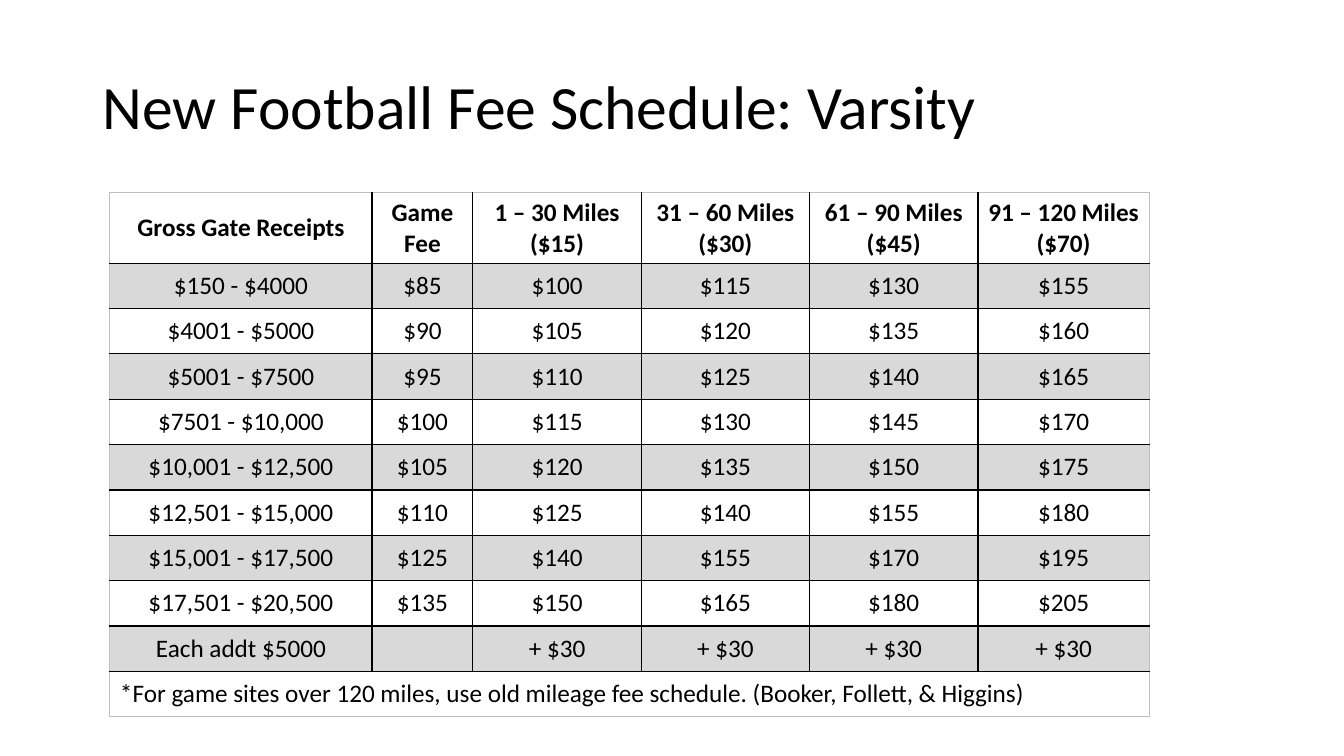
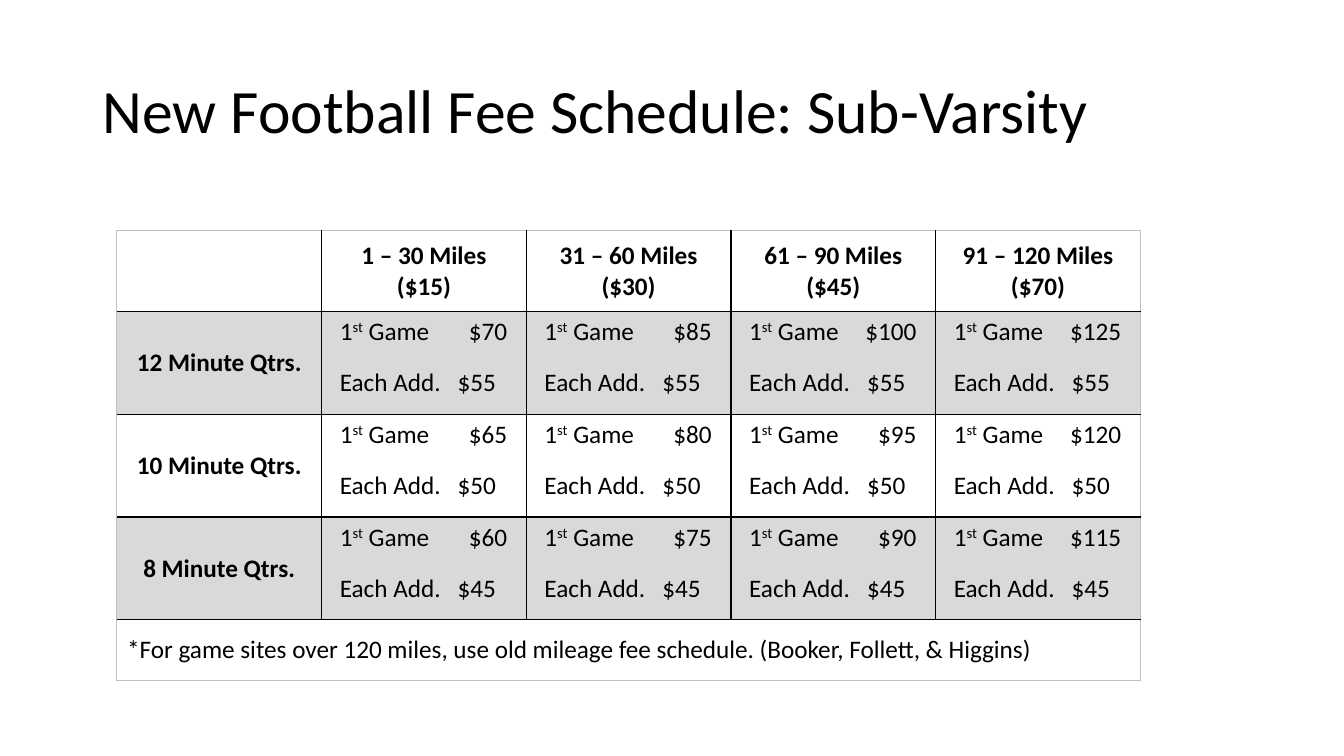
"""Builds the varsity and sub-varsity football fee schedule slides."""
from dataclasses import dataclass

from lxml.etree import SubElement
from pptx import Presentation
from pptx.dml.color import RGBColor
from pptx.enum.text import MSO_ANCHOR, PP_ALIGN
from pptx.oxml.ns import qn
from pptx.table import Table, _Cell
from pptx.util import Inches, Pt

COLORS = {"text": "000000", "grid": "000000", "frame": "BFBFBF", "band": "D9D9D9", "plain": "FFFFFF"}
FONT = "Calibri"
BODY_SIZE = 18
TITLE_SIZE = 44
MILEAGE = {"1 – 30 Miles": 15, "31 – 60 Miles": 30, "61 – 90 Miles": 45, "91 – 120 Miles": 70}
FOOTNOTE = "*For game sites over 120 miles, use old mileage fee schedule. (Booker, Follett, & Higgins)"
VARSITY_FEES = {
    "$150 - $4000": 85,
    "$4001 - $5000": 90,
    "$5001 - $7500": 95,
    "$7501 - $10,000": 100,
    "$10,001 - $12,500": 105,
    "$12,501 - $15,000": 110,
    "$15,001 - $17,500": 125,
    "$17,501 - $20,500": 135,
}
SUB_VARSITY_FEES = {"12 Minute Qtrs.": 55, "10 Minute Qtrs.": 50, "8 Minute Qtrs.": 45}
LABEL_INDENT = 0.18
FIRST_GAME_TAB = 1.66
ADDED_GAME_TAB = 1.55
PRICE_GAP = 14.6


@dataclass(frozen=True)
class GamePrice:
    first: int
    added: int


Entry = str | GamePrice


@dataclass(frozen=True)
class Box:
    left: float
    top: float
    width: float
    height: float


@dataclass(frozen=True)
class Schedule:
    title: str
    title_box: Box
    left: float
    top: float
    columns: list[float]
    heights: list[float]
    rows: list[list[Entry]]
    bold_labels: bool


def style_font(font, size: int, bold: bool = False) -> None:
    font.name = FONT
    font.size = Pt(size)
    font.bold = bold
    font.color.rgb = RGBColor.from_string(COLORS["text"])


def add_title(slide, schedule: Schedule) -> None:
    box = schedule.title_box
    title = slide.shapes.add_textbox(Inches(box.left), Inches(box.top), Inches(box.width), Inches(box.height))
    frame = title.text_frame
    frame.word_wrap = True
    frame.vertical_anchor = MSO_ANCHOR.MIDDLE
    frame.text = schedule.title
    heading = frame.paragraphs[0]
    heading.line_spacing = 0.9
    style_font(heading.runs[0].font, TITLE_SIZE)


def draw_borders(cell: _Cell, outer_sides: dict[str, bool]) -> None:
    properties = cell._tc.get_or_add_tcPr()
    for side, outer in outer_sides.items():
        line = SubElement(properties, qn(f"a:{side}"), w=str(Pt(0.75 if outer else 1)))
        fill = SubElement(line, qn("a:solidFill"))
        SubElement(fill, qn("a:srgbClr"), val=COLORS["frame" if outer else "grid"])


def set_price_tab(paragraph, position: float) -> None:
    tabs = SubElement(paragraph._p.get_or_add_pPr(), qn("a:tabLst"))
    SubElement(tabs, qn("a:tab"), pos=str(Inches(position)), algn="r")


def write_price(cell: _Cell, price: GamePrice) -> None:
    cell.margin_left = Inches(LABEL_INDENT)
    cell.margin_right = Inches(0)
    first = cell.text_frame.paragraphs[0]
    for part in ("1", "st", f" Game\t${price.first}"):
        run = first.add_run()
        run.text = part
        style_font(run.font, BODY_SIZE)
    first.runs[1]._r.get_or_add_rPr().set("baseline", "30000")
    added = cell.text_frame.add_paragraph()
    added.text = f"Each Add.\t${price.added}"
    added.space_before = Pt(PRICE_GAP)
    style_font(added.runs[0].font, BODY_SIZE)
    set_price_tab(first, FIRST_GAME_TAB)
    set_price_tab(added, ADDED_GAME_TAB)


def write_text(cell: _Cell, text: str, bold: bool, align: PP_ALIGN) -> None:
    cell.vertical_anchor = MSO_ANCHOR.MIDDLE
    cell.text_frame.text = text
    for paragraph in cell.text_frame.paragraphs:
        paragraph.alignment = align
        style_font(paragraph.font, BODY_SIZE, bold)
        for run in paragraph.runs:
            style_font(run.font, BODY_SIZE, bold)


def fill_grid(grid: Table, schedule: Schedule) -> None:
    last_row, last_column = len(schedule.heights) - 1, len(schedule.columns) - 1
    for r in range(last_row + 1):
        for c in range(last_column + 1):
            cell = grid.cell(r, c)
            footer = r == last_row
            draw_borders(cell, {
                "lnL": c == 0 or footer,
                "lnR": c == last_column or footer,
                "lnT": r == 0,
                "lnB": footer,
            })
            cell.fill.solid()
            shade = "band" if r % 2 and not footer else "plain"
            cell.fill.fore_color.rgb = RGBColor.from_string(COLORS[shade])
            if footer:
                continue
            entry = schedule.rows[r][c]
            if isinstance(entry, GamePrice):
                write_price(cell, entry)
            else:
                bold = r == 0 or (c == 0 and schedule.bold_labels)
                write_text(cell, entry, bold, PP_ALIGN.CENTER)
    footnote = grid.cell(last_row, 0)
    footnote.merge(grid.cell(last_row, last_column))
    write_text(footnote, FOOTNOTE, False, PP_ALIGN.LEFT)


def add_schedule(deck, schedule: Schedule) -> None:
    slide = deck.slides.add_slide(deck.slide_layouts[6])
    add_title(slide, schedule)
    grid = slide.shapes.add_table(
        len(schedule.heights), len(schedule.columns), Inches(schedule.left), Inches(schedule.top),
        Inches(sum(schedule.columns)), Inches(sum(schedule.heights)),
    ).table
    grid.horz_banding = False
    for column, width in zip(grid.columns, schedule.columns):
        column.width = Inches(width)
    for row, height in zip(grid.rows, schedule.heights):
        row.height = Inches(height)
    fill_grid(grid, schedule)


mile_headings = [f"{distance}\n(${fee})" for distance, fee in MILEAGE.items()]
varsity_rows = [
    ["Gross Gate Receipts", "Game\nFee", *mile_headings],
    *[[receipts, f"${fee}", *[f"${fee + miles}" for miles in MILEAGE.values()]]
      for receipts, fee in VARSITY_FEES.items()],
    ["Each addt $5000", "", *["+ $30" for _ in MILEAGE]],
]
sub_varsity_rows = [
    ["", *mile_headings],
    *[[quarters, *[GamePrice(fee + miles, fee) for miles in MILEAGE.values()]]
      for quarters, fee in SUB_VARSITY_FEES.items()],
]
schedules = [
    Schedule("New Football Fee Schedule: Varsity", Box(0.92, 0.53, 10.49, 1.11), 1.09, 1.91,
             [2.6, 1, 1.67, 1.67, 1.67, 1.7], [0.6] + [0.45] * 10, varsity_rows, False),
    Schedule("New Football Fee Schedule: Sub-Varsity", Box(0.92, 0.4, 11.5, 1.45), 1.16, 2.29,
             [2.03] * 5, [0.8] + [1.02] * 3 + [0.6], sub_varsity_rows, True),
]

deck = Presentation()
deck.slide_width, deck.slide_height = Inches(13.33), Inches(7.5)
for schedule in schedules:
    add_schedule(deck, schedule)
deck.save("out.pptx")
